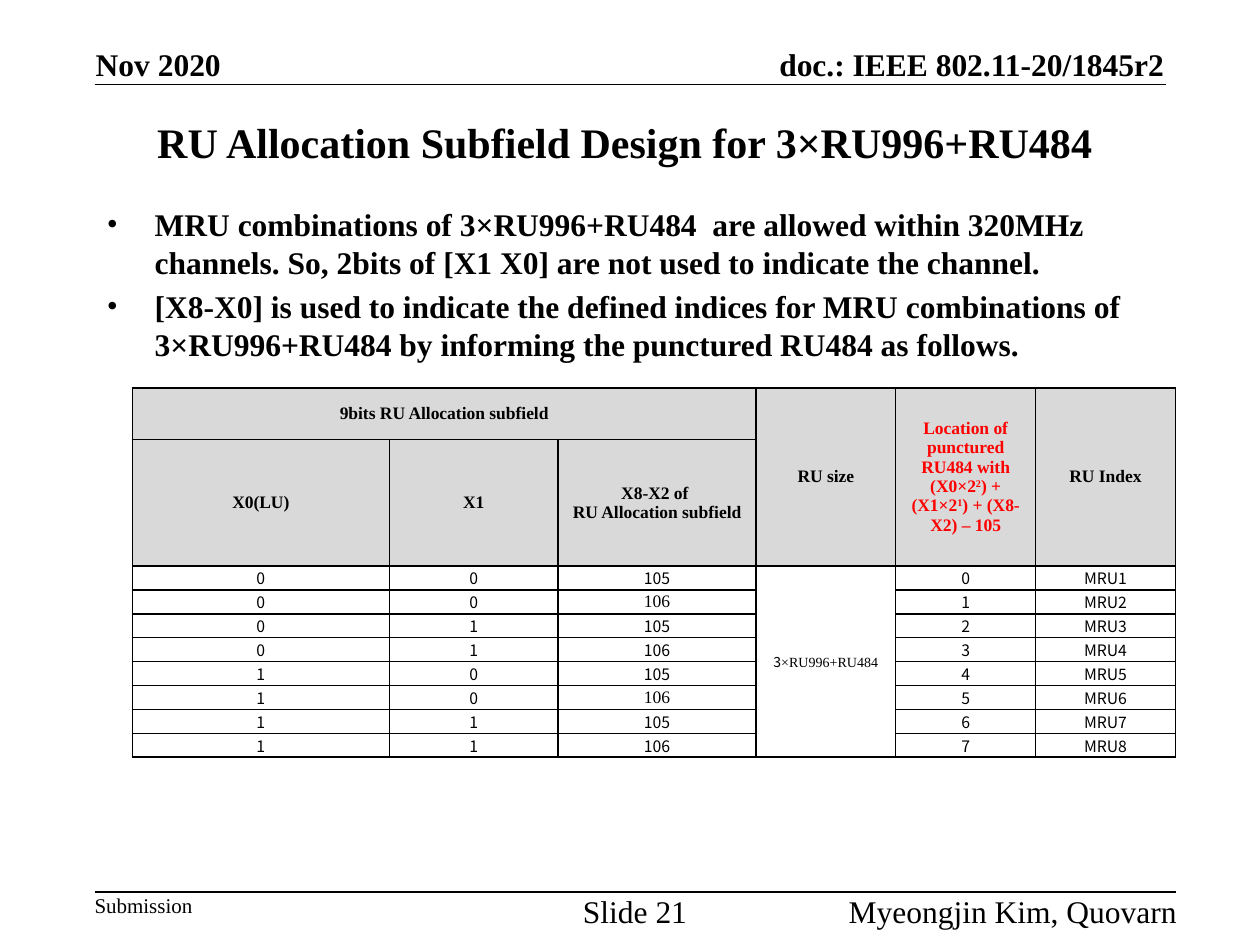
"""Build the RU allocation subfield slide."""
import copy

import lxml.etree
import pptx
import pptx.dml.color
import pptx.enum.shapes
import pptx.enum.text
import pptx.oxml.ns
import pptx.util

Inches = pptx.util.Inches
Pt = pptx.util.Pt
qn = pptx.oxml.ns.qn
Align = pptx.enum.text.PP_ALIGN
Anchor = pptx.enum.text.MSO_ANCHOR

COLORS = {"ink": "000000", "header": "D9D9D9", "alert": "FF0000"}
SERIF = "Times New Roman"
SANS = "Noto Sans CJK KR"


def rgb(name):
    """Return the named colour."""
    return pptx.dml.color.RGBColor.from_string(COLORS[name])


def write(paragraph, text, *, size=18, font=SERIF, color="ink", bold=False,
          align=Align.LEFT, raised=False):
    """Append formatted text to a paragraph, with a line break at each newline."""
    paragraph.alignment = align
    for index, line in enumerate(text.split("\n")):
        if index:
            paragraph.add_line_break()
            paragraph._p[-1].append(copy.deepcopy(run._r.rPr))
        run = paragraph.add_run()
        run.text = line
        run.font.size = Pt(size)
        run.font.name = font
        run.font.bold = bold
        run.font.color.rgb = rgb(color)
        if raised:
            run._r.rPr.set("baseline", "30000")
    paragraph._p.get_or_add_endParaRPr().set("sz", str(size * 100))


class SlideBuilder:
    """Hold the style and the current slide."""

    line_width = Pt(1)
    cell_margin = Inches(0.07)

    def __init__(self, slide):
        """Keep the slide to draw on."""
        self.slide = slide

    def frame(self, left, top, width, height, anchor, margins, wrap):
        """Add an empty text box and return its frame."""
        box = self.slide.shapes.add_textbox(
            Inches(left), Inches(top), Inches(width), Inches(height))
        frame = box.text_frame
        frame.word_wrap = wrap
        frame.vertical_anchor = anchor
        frame.margin_left = frame.margin_right = Inches(margins[0])
        frame.margin_top = frame.margin_bottom = Inches(margins[1])
        return frame

    def label(self, left, top, width, height, text, anchor=Anchor.TOP, **style):
        """Add a one-line label that fits its text."""
        frame = self.frame(left, top, width, height, anchor, (0, 0), False)
        frame.auto_size = pptx.enum.text.MSO_AUTO_SIZE.SHAPE_TO_FIT_TEXT
        write(frame.paragraphs[0], text, **style)

    def title(self, text):
        """Add the slide title."""
        frame = self.frame(0.75, 0.75, 8.5, 0.75, Anchor.MIDDLE, (0.1, 0.05), True)
        write(frame.paragraphs[0], text, size=24, bold=True, align=Align.CENTER)

    def bullets(self, left, top, width, height, points):
        """Add a bulleted list."""
        frame = self.frame(left, top, width, height, Anchor.TOP, (0.1, 0.05), True)
        for index, point in enumerate(points):
            paragraph = frame.add_paragraph() if index else frame.paragraphs[0]
            properties = paragraph._p.get_or_add_pPr()
            properties.set("marL", str(Inches(0.38)))
            properties.set("indent", str(Inches(-0.38)))
            lxml.etree.SubElement(properties, qn("a:buFont")).set("typeface", SERIF)
            lxml.etree.SubElement(properties, qn("a:buChar")).set("char", "•")
            if index:
                paragraph.space_before = Pt(3.6)
            write(paragraph, point, bold=True)

    def rule(self, left, right, top):
        """Add a horizontal line."""
        line = self.slide.shapes.add_connector(
            pptx.enum.shapes.MSO_CONNECTOR.STRAIGHT,
            Inches(left), Inches(top), Inches(right), Inches(top))
        line.line.color.rgb = rgb("ink")
        line.line.width = self.line_width
        lxml.etree.SubElement(line._element.spPr, qn("a:effectLst"))

    def border(self, cell):
        """Draw all four borders of a cell."""
        properties = cell._tc.get_or_add_tcPr()
        for index, side in enumerate(("a:lnL", "a:lnR", "a:lnT", "a:lnB")):
            edge = lxml.etree.Element(qn(side), w=str(self.line_width))
            fill = lxml.etree.SubElement(edge, qn("a:solidFill"))
            lxml.etree.SubElement(fill, qn("a:srgbClr")).set("val", COLORS["ink"])
            properties.insert(index, edge)

    def table(self, left, top, widths, heights, header_rows, merges):
        """Add a bordered table with shaded header rows."""
        table = self.slide.shapes.add_table(
            len(heights), len(widths), Inches(left), Inches(top),
            Inches(sum(widths)), Inches(sum(heights))).table
        table.first_row = table.horz_banding = False
        for column, width in zip(table.columns, widths):
            column.width = Inches(width)
        for index, (row, height) in enumerate(zip(table.rows, heights)):
            row.height = Inches(height)
            for cell in row.cells:
                cell.vertical_anchor = Anchor.MIDDLE
                cell.margin_left = cell.margin_right = self.cell_margin
                cell.margin_top = cell.margin_bottom = 0
                if index < header_rows:
                    cell.fill.solid()
                    cell.fill.fore_color.rgb = rgb("header")
                else:
                    cell.fill.background()
                self.border(cell)
        for first, last in merges:
            table.cell(*first).merge(table.cell(*last))
        return table

    def cell(self, table, row, column, text, **style):
        """Append centred text to a table cell."""
        paragraph = table.cell(row, column).text_frame.paragraphs[0]
        write(paragraph, text, align=Align.CENTER, **style)


def fill_table(builder):
    """Add the table of MRU indices."""
    table = builder.table(
        1.05, 3.08, [2.04, 1.34, 1.57] + [1.11] * 3, [0.41, 0.27] + [0.19] * 8, 2,
        [((0, 0), (0, 2)), ((2, 3), (9, 3))]
        + [((0, column), (1, column)) for column in (3, 4, 5)])

    headings = {
        (0, 0): "9bits RU Allocation subfield", (0, 3): "RU size",
        (0, 5): "RU Index", (1, 0): "X0(LU)", (1, 1): "X1",
        (1, 2): "X8-X2 of \nRU Allocation subfield",
    }
    for (row, column), heading in headings.items():
        builder.cell(table, row, column, heading, size=10, bold=True)
    formula = ["Location of punctured RU484 with (X0×2", "2", ") + (X1×2", "1",
               ") + (X8-X2) – 105"]
    for index, part in enumerate(formula):
        builder.cell(table, 0, 4, part, size=10, bold=True, color="alert",
                     raised=index % 2 == 1)

    builder.cell(table, 2, 3, "3", size=8, font=SANS)
    builder.cell(table, 2, 3, "×RU996+RU484", size=8)
    for location in range(8):
        x0, x1, low = location // 4, location // 2 % 2, location % 2
        values = {0: x0, 1: x1, 2: 105 + low, 4: location, 5: f"MRU{location + 1}"}
        for column, value in values.items():
            serif = column == 2 and low and not x1
            builder.cell(table, location + 2, column, str(value),
                         size=10 if serif else 9, font=SERIF if serif else SANS)


def main():
    """Build and save the slide."""
    deck = pptx.Presentation()
    deck.slide_width, deck.slide_height = Inches(10), Inches(7.5)
    builder = SlideBuilder(deck.slides.add_slide(deck.slide_layouts[6]))

    builder.label(5.65, 0.36, 3.59, 0.3, "doc.: IEEE 802.11-20/1845r2",
                  Anchor.BOTTOM, bold=True, align=Align.RIGHT)
    builder.rule(0.75, 9.25, 0.67)
    builder.label(0.75, 7.08, 0.78, 0.2, "Submission", size=12)
    builder.rule(0.75, 9.33, 7.08)
    builder.title("RU Allocation Subfield Design for 3×RU996+RU484 ")
    builder.label(0.76, 0.36, 1.29, 0.3, "Nov 2020", Anchor.BOTTOM, bold=True)
    builder.label(4.54, 7.08, 1, 0.3, "Slide 21", align=Align.CENTER)
    builder.label(6.34, 7.08, 3, 0.3, "Myeongjin Kim, Quovarn",
                  align=Align.RIGHT)
    builder.bullets(0.75, 1.58, 8.5, 5.08, [
        "MRU combinations of 3×RU996+RU484  are allowed within 320MHz channels. "
        "So, 2bits of [X1 X0] are not used to indicate the channel.",
        "[X8-X0] is used to indicate the defined indices for MRU combinations of "
        "3×RU996+RU484 by informing the punctured RU484 as follows.",
    ])
    fill_table(builder)
    deck.save("out.pptx")


if __name__ == "__main__":
    main()
